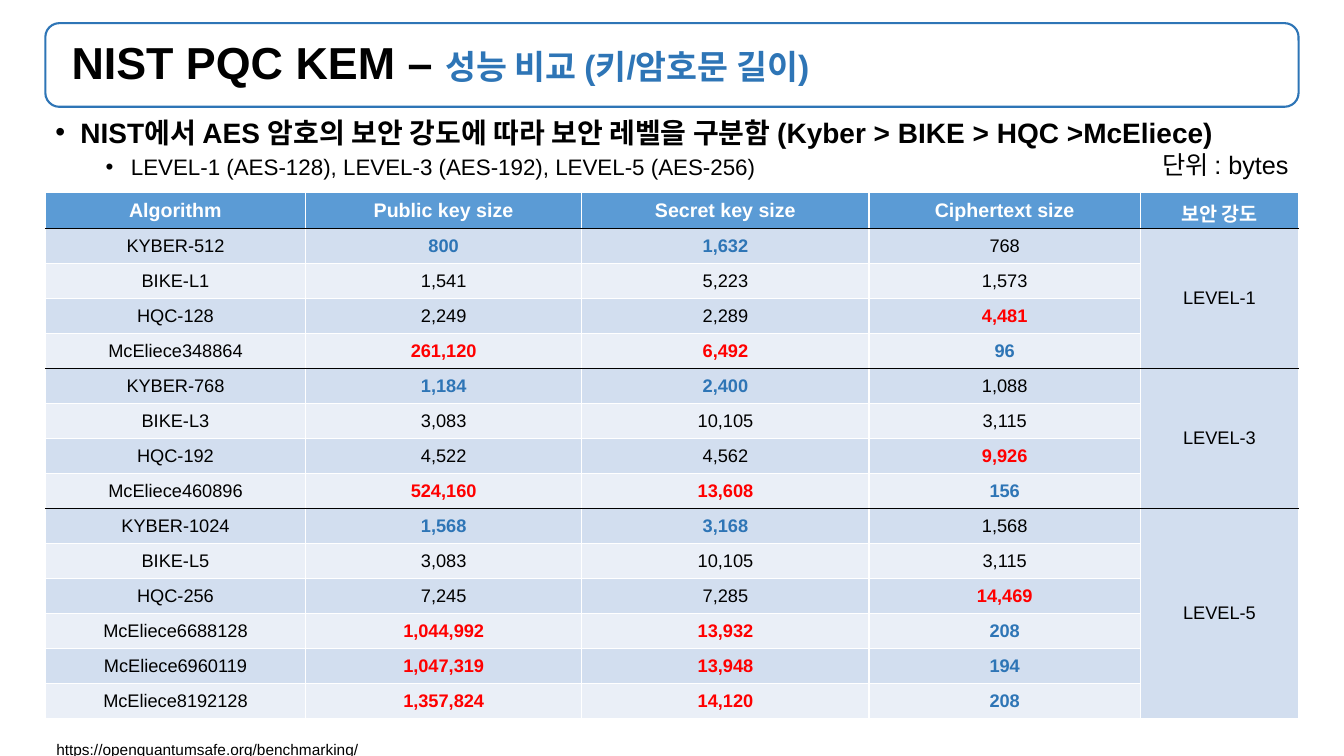
import pptx
import pptx.chart.data
import pptx.dml.color
import pptx.enum.shapes
import pptx.enum.text
import pptx.oxml.ns
import pptx.util
from lxml import etree

Inches = pptx.util.Inches
Pt = pptx.util.Pt
ALIGN = pptx.enum.text.PP_ALIGN
ANCHOR = pptx.enum.text.MSO_ANCHOR

BLACK, WHITE, BLUE, RED = "000000", "FFFFFF", "2E75B6", "FF0000"
HEAD, BANDS = "5B9BD5", ("D2DEEF", "EAEFF7")
WIDTHS = (2.58, 2.74, 2.85, 2.69, 1.57)
TITLES = ("Algorithm", "Public key size", "Secret key size",
          "Ciphertext size", "보안 강도")
LEVELS = {
    "LEVEL-1": (("KYBER-512", "800", "1,632", "768"),
                ("BIKE-L1", "1,541", "5,223", "1,573"),
                ("HQC-128", "2,249", "2,289", "4,481"),
                ("McEliece348864", "261,120", "6,492", "96")),
    "LEVEL-3": (("KYBER-768", "1,184", "2,400", "1,088"),
                ("BIKE-L3", "3,083", "10,105", "3,115"),
                ("HQC-192", "4,522", "4,562", "9,926"),
                ("McEliece460896", "524,160", "13,608", "156")),
    "LEVEL-5": (("KYBER-1024", "1,568", "3,168", "1,568"),
                ("BIKE-L5", "3,083", "10,105", "3,115"),
                ("HQC-256", "7,245", "7,285", "14,469"),
                ("McEliece6688128", "1,044,992", "13,932", "208"),
                ("McEliece6960119", "1,047,319", "13,948", "194"),
                ("McEliece8192128", "1,357,824", "14,120", "208")),
}
# Best (blue) and worst (red) sizes of each family, by column
MARKS = {"KYB": (BLACK, BLUE, BLUE, BLACK), "BIK": (BLACK,) * 4,
         "HQC": (BLACK, BLACK, BLACK, RED), "McE": (BLACK, RED, RED, BLUE)}


def color(text):
    return pptx.dml.color.RGBColor.from_string(text)


def assign(part, **values):
    for name, value in values.items():
        setattr(part, name, value)


def write(para, text, size, tint=BLACK, bold=False):
    run = para.add_run()
    run.text = text
    assign(run.font, name="Arial", size=Pt(size), bold=bold)
    run.font.color.rgb = color(tint)


def frame(slide, box, wrap=True):
    text = slide.shapes.add_textbox(*map(Inches, box)).text_frame
    text.word_wrap = wrap
    return text


def bullet(para, left):
    props = para._p.get_or_add_pPr()
    props.set("marL", str(Inches(left)))
    props.set("indent", str(Inches(-0.25)))
    for tag, key, value in (("buFont", "typeface", "Arial"),
                            ("buChar", "char", "•")):
        etree.SubElement(props, pptx.oxml.ns.qn("a:" + tag)).set(key, value)


def title(slide, box):
    kind = pptx.enum.shapes.MSO_SHAPE.ROUNDED_RECTANGLE
    panel = slide.shapes.add_shape(kind, *map(Inches, box))
    panel.shadow.inherit = False
    panel.fill.background()
    panel.line.color.rgb = color(BLUE)
    panel.line.width = Pt(1.5)
    text = panel.text_frame
    assign(text, word_wrap=True, vertical_anchor=ANCHOR.MIDDLE,
           margin_left=Inches(0.22))
    para = text.paragraphs[0]
    assign(para, alignment=ALIGN.LEFT, line_spacing=0.9)
    write(para, "NIST PQC KEM – ", 32, bold=True)
    write(para, "성능 비교 (키/암호문 길이)", 24, BLUE, True)


def intro(slide, box):
    text = frame(slide, box)
    main, sub = text.paragraphs[0], text.add_paragraph()
    main.line_spacing = 0.9
    assign(sub, level=1, line_spacing=0.9, space_before=Pt(5))
    bullet(main, 0.25)
    bullet(sub, 0.75)
    write(main, "NIST에서 AES 암호의 보안 강도에 따라 보안 레벨을 구분함 "
          "(Kyber > BIKE > HQC >McEliece)", 20, bold=True)
    write(sub, "LEVEL-1 (AES-128), LEVEL-3 (AES-192), LEVEL-5 (AES-256)", 16)


def note(slide, box, text, size, align=ALIGN.LEFT, wrap=True):
    para = frame(slide, box, wrap).paragraphs[0]
    para.alignment = align
    write(para, text, size)


def style(cell, fill, top=WHITE, base=WHITE):
    assign(cell, vertical_anchor=ANCHOR.MIDDLE,
           margin_left=Inches(0.13), margin_right=Inches(0.13),
           margin_top=Inches(0.06), margin_bottom=Inches(0.06))
    props = cell._tc.get_or_add_tcPr()
    for side, tint in zip("LRTB", (WHITE, WHITE, top, base)):
        line = etree.SubElement(props, pptx.oxml.ns.qn("a:ln" + side))
        line.set("w", str(Pt(1)))
        solid = etree.SubElement(line, pptx.oxml.ns.qn("a:solidFill"))
        etree.SubElement(solid, pptx.oxml.ns.qn("a:srgbClr")).set("val", tint)
    cell.fill.solid()
    cell.fill.fore_color.rgb = color(fill)


def label(cell, text, size, tint=BLACK, bold=False):
    para = cell.text_frame.paragraphs[0]
    para.alignment = ALIGN.CENTER
    write(para, text, size, tint, bold)


def sizes(slide, box):
    count = 1 + sum(map(len, LEVELS.values()))
    grid = slide.shapes.add_table(count, len(WIDTHS),
                                  *map(Inches, box)).table
    grid.horz_banding = False
    for col, width in zip(grid.columns, WIDTHS):
        col.width = Inches(width)
    for row in grid.rows:
        row.height = Inches(box[3] / count)

    # Header row
    for col, text in enumerate(TITLES):
        style(grid.cell(0, col), HEAD, base=BLACK)
        label(grid.cell(0, col), text, 14, WHITE, True)

    # One block of rows per security level
    start = 1
    for level, rows in LEVELS.items():
        end = start + len(rows) - 1
        for row, values in enumerate(rows, start):
            top = BLACK if row == start else WHITE
            base = BLACK if row == end < count - 1 else WHITE
            band = BANDS[(row - 1) % 2]
            for col, text in enumerate(values):
                tint = MARKS[values[0][:3]][col]
                style(grid.cell(row, col), band, top, base)
                label(grid.cell(row, col), text, 13, tint, tint != BLACK)
            style(grid.cell(row, 4), BANDS[0], top, base)
        grid.cell(start, 4).merge(grid.cell(end, 4))
        label(grid.cell(start, 4), level, 13)
        start = end + 1


def main():
    deck = pptx.Presentation()
    assign(deck, slide_width=Inches(13.33), slide_height=Inches(7.5))
    slide = deck.slides.add_slide(deck.slide_layouts[6])
    title(slide, (0.45, 0.23, 12.43, 0.83))
    intro(slide, (0.45, 1.13, 12.43, 0.75))
    note(slide, (0.46, 7.29, 3.21, 0.29),
         "https://openquantumsafe.org/benchmarking/", 11, wrap=False)
    sizes(slide, (0.45, 1.91, 12.43, 5.22))
    note(slide, (11.12, 1.43, 1.76, 0.4), "단위 : bytes", 18, ALIGN.RIGHT)
    deck.save("out.pptx")


if __name__ == "__main__":
    main()
